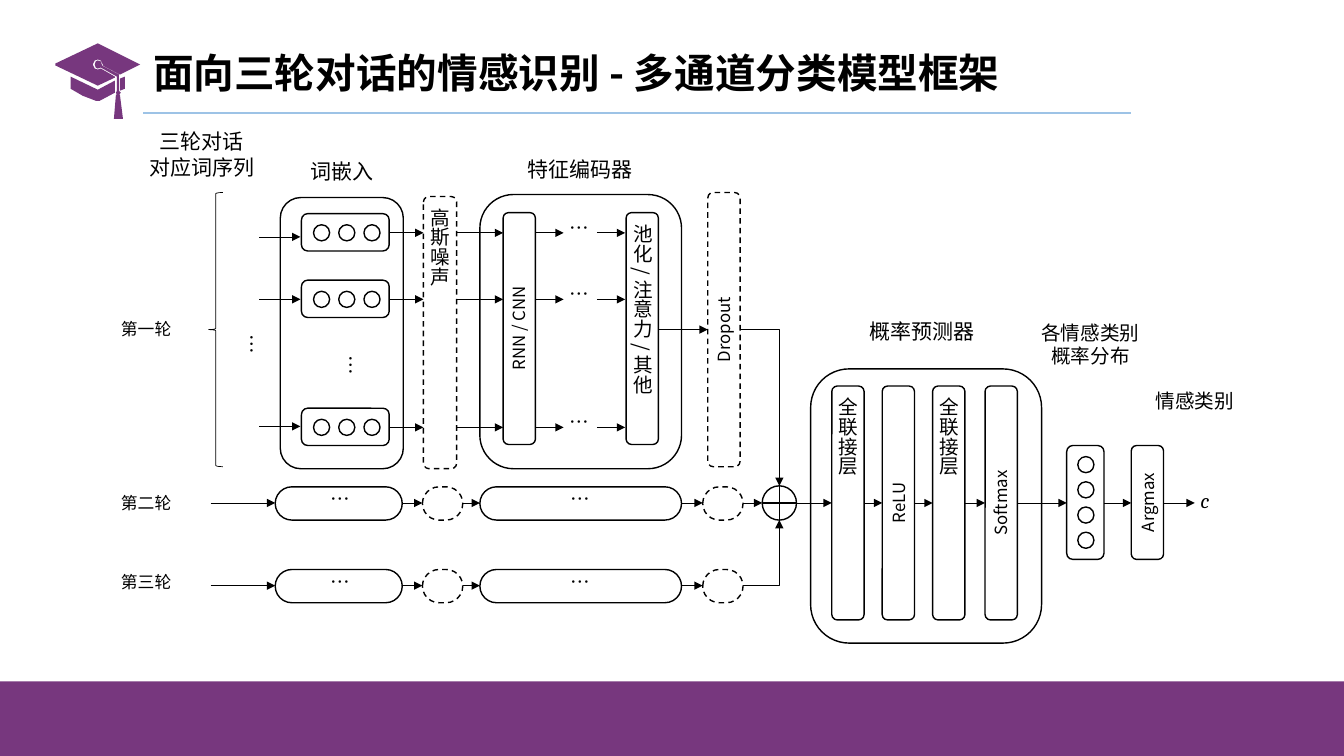
import dataclasses

import lxml.etree
import pptx
import pptx.dml.color
import pptx.enum.dml
import pptx.enum.lang
import pptx.enum.shapes
import pptx.enum.text
import pptx.oxml.ns
import pptx.util

PX = 9144  # one hundredth of an inch
SHAPES = pptx.enum.shapes.MSO_SHAPE
ALIGN = pptx.enum.text.PP_ALIGN
qn = pptx.oxml.ns.qn


@dataclasses.dataclass(frozen=True)
class Theme:
    ink: str = "000000"
    purple: str = "77377E"
    rule: str = "9DC3E6"
    font: str = "Noto Sans CJK SC"
    math_font: str = "Cambria"
    title: int = 29
    heading: int = 15
    label: int = 14
    small: int = 12
    thin: float = 0.5
    outline: float = 1
    rule_width: float = 1.5


THEME = Theme()

CAP_OUTLINES = [
    [(139, 64), (97, 43), (55, 63), (55, 65), (97, 85), (114, 77), (114, 76), (100, 68), (97, 69),
     (94, 68), (92, 64), (94, 60), (97, 59), (100, 60), (102, 64), (102, 65), (119, 74)],
    [(118, 75), (118, 74), (101, 65), (101, 64), (100, 61), (97, 60), (95, 61), (94, 64), (95, 67),
     (97, 68), (100, 67), (116, 76)],
    [(70, 76), (70, 88), (82, 95), (95, 100), (99, 100), (114, 92), (114, 80), (97, 89)],
    [(119, 90), (124, 88), (124, 76), (119, 78)],
    [(118, 75), (118, 90), (120, 92), (118, 94), (119, 94), (122, 118), (113, 118), (115, 94),
     (116, 94), (115, 92), (116, 90), (116, 76)],
]


def emu(*lengths):
    return [pptx.util.Emu(length * PX) for length in lengths]


def rgb(code):
    return pptx.dml.color.RGBColor.from_string(code)


def write(frame, lines, size, align=ALIGN.CENTER, font=THEME.font, bold=False, italic=False):
    """Fill a text frame with one paragraph per line and return the paragraphs."""
    for index, line in enumerate(lines):
        paragraph = frame.paragraphs[0] if index == 0 else frame.add_paragraph()
        paragraph.alignment = align
        run = paragraph.add_run()
        run.text = line
        run.font.size = pptx.util.Pt(size)
        run.font.bold = bold
        run.font.italic = italic
        run.font.color.rgb = rgb(THEME.ink)
        run.font.language_id = pptx.enum.lang.MSO_LANGUAGE_ID.SIMPLIFIED_CHINESE
        run.font.name = font
        lxml.etree.SubElement(run.font._element, qn("a:ea"), typeface=font)
    return frame.paragraphs


def label(slide, x, y, w, h, *lines, size=THEME.label, rotation=0, **style):
    box = slide.shapes.add_textbox(*emu(x, y, w, h))
    box.rotation = rotation
    box.text_frame.word_wrap = False
    write(box.text_frame, lines, size, **style)


def ellipsis(slide, x, y, rotation=0):
    label(slide, x, y, 36, 36, "…", rotation=rotation)


def outlined(slide, kind, x, y, w, h, dashed=False, width=THEME.outline):
    shape = slide.shapes.add_shape(kind, *emu(x, y, w, h))
    shape.shadow.inherit = False
    shape.fill.background()
    shape.line.color.rgb = rgb(THEME.ink)
    shape.line.width = pptx.util.Pt(width)
    if dashed:
        shape.line.dash_style = pptx.enum.dml.MSO_LINE.DASH
    return shape


def box(slide, x, y, w, h, dashed=False):
    return outlined(slide, SHAPES.ROUNDED_RECTANGLE, x, y, w, h, dashed)


def layer(slide, x, y, w, h, text, stacked=False, dashed=False):
    """Tall box whose text is stacked downwards or turned to read upwards."""
    frame = box(slide, x, y, w, h, dashed).text_frame
    frame.vertical_anchor = pptx.enum.text.MSO_ANCHOR.MIDDLE
    frame._txBody.bodyPr.set("vert", "eaVert" if stacked else "vert270")
    write(frame, [text], THEME.label if stacked else THEME.small)


def circle(slide, x, y, diameter):
    outlined(slide, SHAPES.OVAL, x, y, diameter, diameter)


def line(slide, start, end, color=THEME.ink, width=THEME.thin, head=False, bent=False):
    kinds = pptx.enum.shapes.MSO_CONNECTOR
    kind = kinds.ELBOW if bent else kinds.STRAIGHT
    connector = slide.shapes.add_connector(kind, *emu(*start, *end))
    connector.line.color.rgb = rgb(color)
    connector.line.width = pptx.util.Pt(width)
    properties = connector._element.spPr
    if bent:
        properties.find(qn("a:prstGeom")).set("prst", "bentConnector2")
    if head:
        lxml.etree.SubElement(connector.line._get_or_add_ln(), qn("a:tailEnd"), type="triangle")
    lxml.etree.SubElement(properties, qn("a:effectLst"))


def flow(slide, y, *spans):
    """Draw level arrows, one for each (from, to) span."""
    for start, end in spans:
        line(slide, (start, y), (end, y), head=True)


def paint(shape):
    shape.shadow.inherit = False
    shape.fill.solid()
    shape.fill.fore_color.rgb = rgb(THEME.purple)
    shape.line.fill.background()


def graduation_cap(slide):
    builder = slide.shapes.build_freeform(*CAP_OUTLINES[0][0], scale=PX)
    for index, outline in enumerate(CAP_OUTLINES):
        if index:
            builder.move_to(*outline[0])
        builder.add_line_segments(outline[1:], close=True)
    paint(builder.convert_to_shape())


def slide_frame(slide):
    title = slide.shapes.add_textbox(*emu(142, 37, 896, 75)).text_frame
    title.word_wrap = True
    title.vertical_anchor = pptx.enum.text.MSO_ANCHOR.MIDDLE
    lines = write(title, ["面向三轮对话的情感识别 - 多通道分类模型框架"], THEME.title, ALIGN.LEFT, bold=True)
    lines[0].line_spacing = 0.9
    graduation_cap(slide)
    line(slide, (142, 112), (1122, 112), THEME.rule, THEME.rule_width)
    paint(slide.shapes.add_shape(SHAPES.RECTANGLE, *emu(0, 676, 1333, 74)))


def first_round(slide):
    label(slide, 133, 123, 134, 65, "三轮对话", "对应词序列", size=THEME.heading)
    label(slide, 295, 152, 89, 38, "词嵌入", size=THEME.heading)
    label(slide, 481, 150, 189, 38, "特征编码器", size=THEME.heading)
    outlined(slide, SHAPES.LEFT_BRACE, 207, 191, 14, 272, width=THEME.thin)
    box(slide, 278, 196, 122, 269)
    box(slide, 476, 193, 200, 272)
    layer(slide, 420, 195, 33, 270, "高斯噪声", stacked=True, dashed=True)
    layer(slide, 499, 211, 32, 230, "RNN / CNN")
    layer(slide, 621, 211, 32, 230, "池化 / 注意力 / 其他", stacked=True)
    layer(slide, 702, 191, 32, 272, "Dropout", dashed=True)
    for word_y, y in ((235, 231), (297, 297), (423, 424)):
        box(slide, 299, y - 19, 87, 37)
        for unit in range(3):
            circle(slide, 311 + 25 * unit, y - 8, 16)
        flow(slide, word_y, (257, 298))
        flow(slide, y, (386, 420), (453, 499), (531, 559), (592, 620))
        ellipsis(slide, 555, y - 22)
    ellipsis(slide, 231, 322, rotation=90)
    ellipsis(slide, 329, 343, rotation=90)
    flow(slide, 327, (653, 702))


def later_round(slide, y):
    stages = ((273, 126), (419, 40), (476, 200), (697, 40))
    for x, width in stages:
        capsule = box(slide, x, y - 16, width, 33, dashed=width == 40)
        capsule.adjustments[0] = 0.5
    ends = [x + width for x, width in stages]
    flow(slide, y, (209, 273), *zip(ends, [x for x, _ in stages[1:]]))
    ellipsis(slide, 318, y - 21)
    ellipsis(slide, 556, y - 21)


def merge_node(slide):
    circle(slide, 756, 482, 34)
    line(slide, (756, 499), (790, 499), width=THEME.outline)
    line(slide, (773, 482), (773, 516), width=THEME.outline)
    line(slide, (734, 327), (773, 482), head=True, bent=True)
    line(slide, (737, 581), (773, 516), head=True, bent=True)
    flow(slide, 499, (737, 756))


def predictor(slide):
    label(slide, 820, 311, 189, 38, "概率预测器", size=THEME.heading)
    label(slide, 987, 313, 189, 61, "各情感类别", "概率分布")
    label(slide, 1126, 381, 118, 36, "情感类别")
    box(slide, 804, 366, 229, 272)
    layers = ((825, "全联接层"), (875, "ReLU"), (925, "全联接层"), (977, "Softmax"))
    for x, name in layers:
        layer(slide, x, 383, 32, 232, name, stacked=name == "全联接层")
    box(slide, 1058, 442, 37, 113)
    for category in range(4):
        circle(slide, 1069, 453 + 25 * category, 16)
    layer(slide, 1122, 442, 32, 113, "Argmax")
    flow(slide, 499, (790, 825), (857, 875), (907, 925), (957, 977),
         (1009, 1058), (1095, 1122), (1154, 1185))
    label(slide, 1179, 479, 32, 38, "c", size=THEME.heading, font=THEME.math_font, italic=True)


def main():
    deck = pptx.Presentation()
    deck.slide_width, deck.slide_height = emu(1333, 750)
    slide = deck.slides.add_slide(deck.slide_layouts[6])
    slide_frame(slide)
    for y, name in ((311, "第一轮"), (484, "第二轮"), (562, "第三轮")):
        label(slide, 107, y, 76, 32, name, size=THEME.small)
    first_round(slide)
    for y in (499, 581):
        later_round(slide, y)
    merge_node(slide)
    predictor(slide)
    deck.save("out.pptx")


if __name__ == "__main__":
    main()
